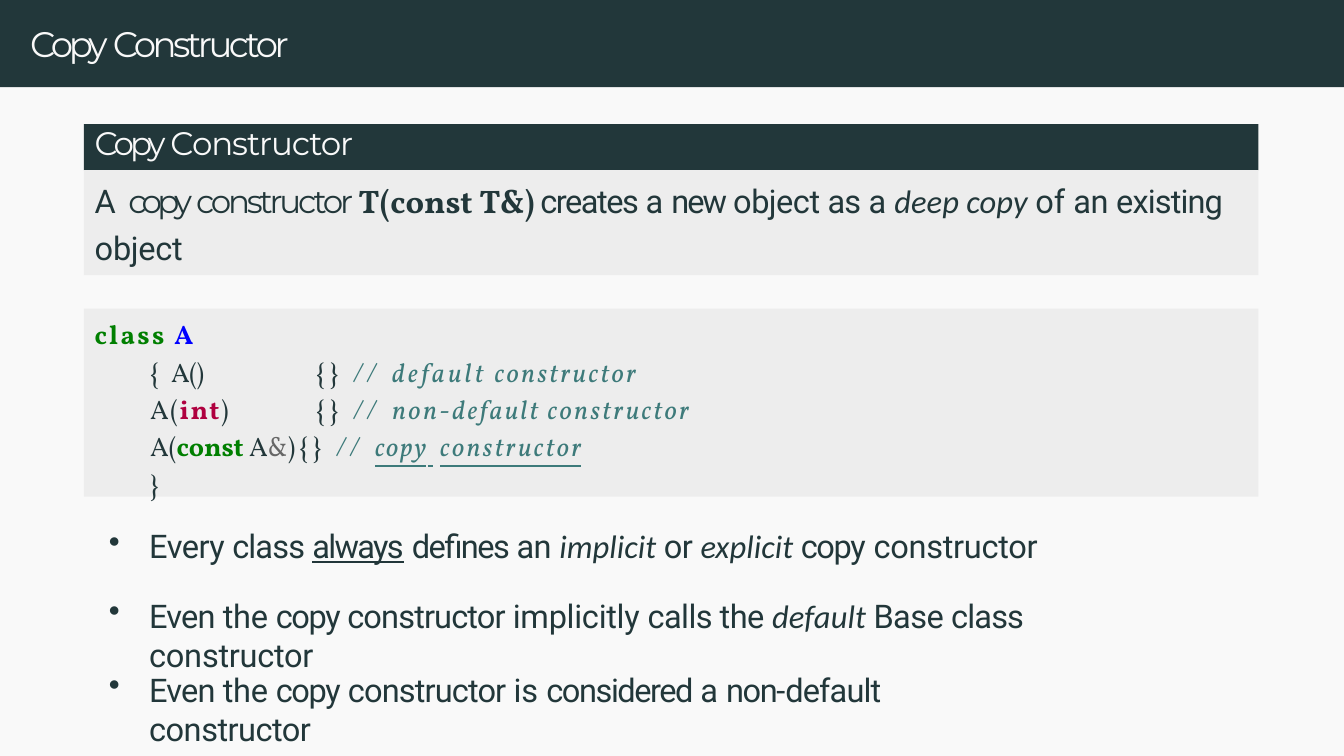
from lxml import etree
from pptx import Presentation
from pptx.dml.color import RGBColor
from pptx.enum.shapes import MSO_SHAPE as Shape
from pptx.enum.text import MSO_ANCHOR as Anchor, MSO_AUTO_SIZE as AutoSize, PP_ALIGN as Align
from pptx.oxml.ns import qn
from pptx.util import Cm, Pt

DARK, LIGHT, PANEL = "22373A", "F9F9F9", "EDEDED"
GREEN, TEAL = "007F00", "3D7A7A"

# name: font, size, colour, bold / italic / underline flags
STYLES = {
    "title": ("Montserrat", 12, LIGHT, ""),
    "heading": ("Montserrat", 11, LIGHT, ""),
    "term": ("Montserrat", 11, DARK, ""),
    "signature": ("Vollkorn", 11, DARK, "b"),
    "body": ("Roboto", 11, DARK, ""),
    "underlined": ("Roboto", 11, DARK, "u"),
    "emphasis": ("Calibri", 11, DARK, "i"),
    "code": ("Vollkorn", 9, DARK, ""),
    "keyword": ("Vollkorn", 9, GREEN, "b"),
    "class": ("Vollkorn", 9, "0000FF", "b"),
    "type": ("Vollkorn", 9, "AF003F", "b"),
    "operator": ("Vollkorn", 9, "666666", ""),
    "comment": ("Vollkorn", 9, TEAL, "i"),
    "marked": ("Vollkorn", 9, TEAL, "iu"),
}

TITLE = [("Copy ", "title", -1.4), ("Constructor", "title", -1.2)]
HEADING = [("Copy ", "heading", -1.3), ("Constructor", "heading", -0.4)]
DEFINITION = [
    ("A ", "body", 0.7), ("copy ", "term", -1.6), ("constructor ", "term", -1.1),
    ("T(const ", "signature", 0), ("T&) ", "signature", -0.3),
    ("creates ", "body", -0.5), ("a ", "body", 0), ("new ", "body", -0.7),
    ("object ", "body", -0.2), ("as ", "body", -0.3), ("a ", "body", 0),
    ("deep copy ", "emphasis", 0), ("of ", "body", 0), ("an ", "body", -0.2),
    ("existing ", "body", -0.3), ("object", "body", -0.1),
]
CODE = [
    [("class ", "keyword", 0.8), ("A", "class", -0.8)],
    [("\t{ ", "code", 1.2), ("A()", "code", -0.2), ("\t{} ", "code", 1.7),
     ("// ", "comment", 2), ("default ", "comment", 1.1), ("constructor", "comment", 0.8)],
    [("\tA(", "code", 0.5), ("int", "type", 0.5), (")", "code", 0.5), ("\t{} ", "code", 1.7),
     ("// ", "comment", 2), ("non-", "comment", 0.9), ("default constructor", "comment", 0.8)],
    [("\tA(", "code", 0), ("const ", "keyword", 0), ("A", "code", -0.5),
     ("&", "operator", -0.5), (") ", "code", -0.5), ("{} ", "code", 1.7),
     ("// ", "comment", 2), ("copy", "marked", 0.5), (" ", "marked", 2.5),
     ("constructor", "marked", 0.8)],
    [("\t}", "code", 1.7)],
]
RULES = [
    [("Every ", "body", -0.2), ("class ", "body", -0.3), ("always", "underlined", -0.6),
     (" ", "body", -0.1), ("defines ", "body", -0.5), ("an ", "body", -0.2),
     ("implicit ", "emphasis", 0), ("or ", "body", -0.2), ("explicit ", "emphasis", 0),
     ("copy", "body", -0.5), (" constructor", "body", -0.1)],
    [("Even ", "body", -0.3), ("the ", "body", -0.1), ("copy ", "body", -0.5),
     ("constructor ", "body", -0.3), ("implicitly ", "body", -0.1),
     ("calls the ", "body", -0.2), ("default ", "emphasis", 0), ("Base", "body", -0.2),
     (" class ", "body", -0.3), ("constructor", "body", -0.1)],
]
LAST_RULE = [
    ("Even ", "body", -0.3), ("the ", "body", -0.1), ("copy", "body", -0.5),
    (" constructor ", "body", -0.3), ("is ", "body", 0), ("considered ", "body", -0.5),
    ("a ", "body", 0), ("non-", "body", -0.5), ("default ", "body", -0.3),
    ("constructor", "body", -0.2),
]

WIDTH, HEIGHT = 16.02, 9.01
PANEL_LEFT, PANEL_WIDTH = 1, 14
TEXT_INSET = 0.13
CODE_TABS = (0.66, 2.64)
BULLET_INDENT, BULLET_HANG = 0.66, 0.48


def color(value):
    return RGBColor.from_string(value)


def write(shape, paragraphs, left=0, top=0, gap=0, line_spacing=None, tabs=(), bullet=False):
    frame = shape.text_frame
    frame.word_wrap = True
    frame.auto_size = AutoSize.NONE
    frame.vertical_anchor = Anchor.TOP
    frame.margin_left, frame.margin_top = Cm(left), Cm(top)
    frame.margin_right = frame.margin_bottom = 0
    for index, runs in enumerate(paragraphs):
        paragraph = frame.add_paragraph() if index else frame.paragraphs[0]
        paragraph.alignment = Align.LEFT
        paragraph.space_before = Pt(gap if index else 0)
        paragraph.line_spacing = line_spacing or 1.0
        properties = paragraph._p.get_or_add_pPr()
        if bullet:
            properties.set("marL", str(Cm(BULLET_INDENT)))
            properties.set("indent", str(-Cm(BULLET_HANG)))
            etree.SubElement(properties, qn("a:buChar"), char="•")
        if tabs:
            tab_list = etree.SubElement(properties, qn("a:tabLst"))
            for position in tabs:
                etree.SubElement(tab_list, qn("a:tab"), pos=str(Cm(position)), algn="l")
        for text, style, spacing in runs:
            name, size, fill, flags = STYLES[style]
            run = paragraph.add_run()
            run.text = text
            font = run.font
            font.name, font.size = name, Pt(size)
            font.color.rgb = color(fill)
            font.bold, font.italic, font.underline = ("b" in flags, "i" in flags, "u" in flags)
            run._r.get_or_add_rPr().set("spc", str(round(spacing * 100)))


def add_panel(slide, left, top, width, height, fill):
    shape = slide.shapes.add_shape(Shape.RECTANGLE, Cm(left), Cm(top), Cm(width), Cm(height))
    shape.shadow.inherit = False
    shape.fill.solid()
    shape.fill.fore_color.rgb = color(fill)
    shape.line.fill.background()
    return shape


def add_rules(slide, top, width, height, rules):
    box = slide.shapes.add_textbox(Cm(1.12), Cm(top), Cm(width), Cm(height))
    write(box, rules, gap=10.3, bullet=True)


def main():
    presentation = Presentation()
    presentation.slide_width, presentation.slide_height = Cm(WIDTH), Cm(HEIGHT)
    slide = presentation.slides.add_slide(presentation.slide_layouts[5])
    slide.background.fill.solid()
    slide.background.fill.fore_color.rgb = color(LIGHT)

    banner = add_panel(slide, 0, 0, WIDTH, 1.04, DARK)
    title = slide.shapes.title
    banner.element.addnext(title.element)
    title.left, title.top, title.width, title.height = Cm(0.36), Cm(0.2), Cm(9.8), Cm(0.6)
    write(title, [TITLE], top=0.06)

    heading = add_panel(slide, PANEL_LEFT, 1.48, PANEL_WIDTH, 0.55, DARK)
    write(heading, [HEADING], left=TEXT_INSET, line_spacing=Pt(12.7))
    definition = add_panel(slide, PANEL_LEFT, 2.03, PANEL_WIDTH, 1.25, PANEL)
    write(definition, [DEFINITION], left=TEXT_INSET, top=0.05, line_spacing=1.18)
    code = add_panel(slide, PANEL_LEFT, 3.68, PANEL_WIDTH, 2.24, PANEL)
    write(code, CODE, left=TEXT_INSET, top=0.11, gap=1.8, tabs=CODE_TABS)

    add_rules(slide, 6.27, 12.88, 1.75, RULES)
    add_rules(slide, 7.98, 11.25, 0.95, [LAST_RULE])
    presentation.save("out.pptx")


if __name__ == "__main__":
    main()
